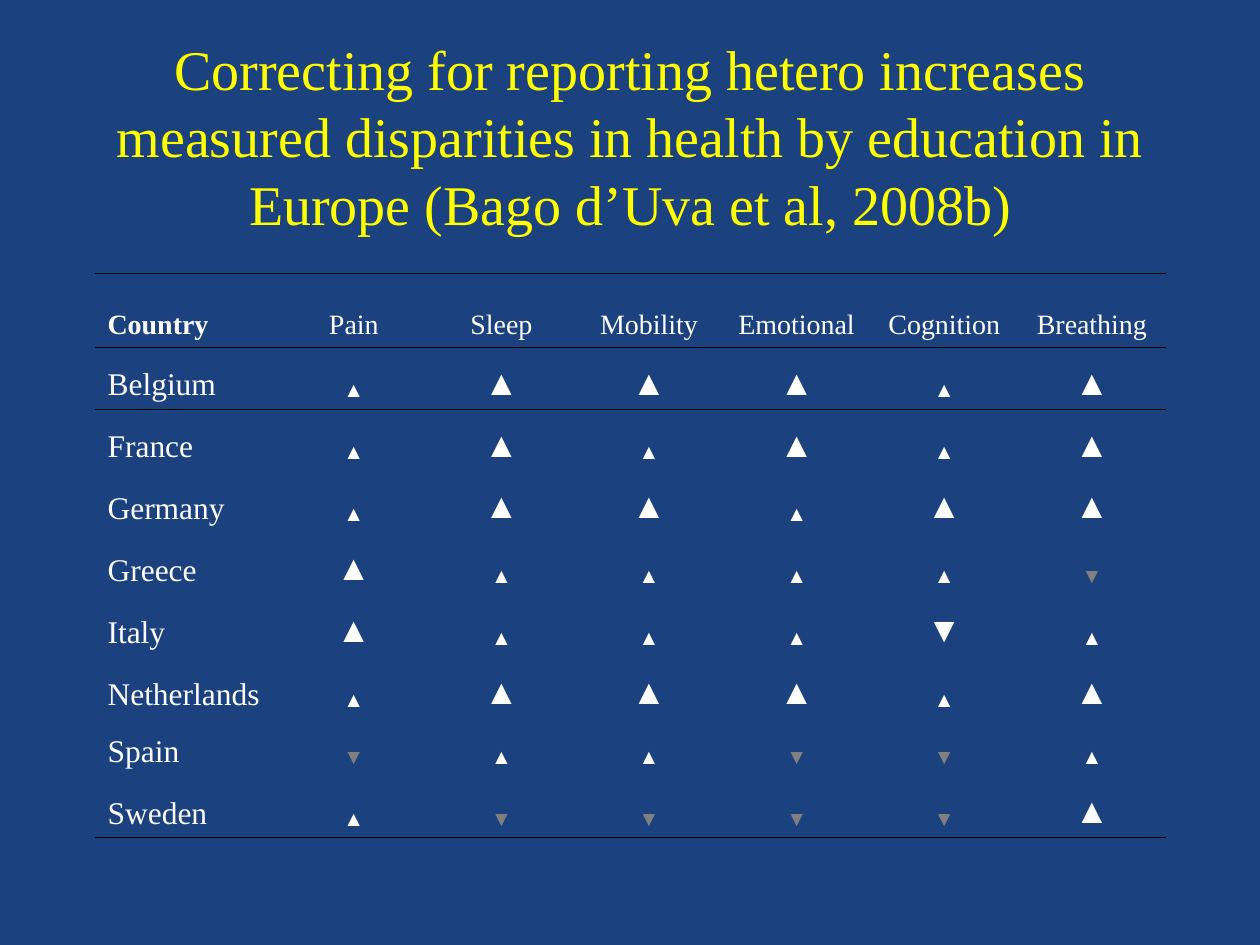
from lxml.etree import SubElement
from pptx import Presentation
from pptx.dml.color import RGBColor
from pptx.enum.text import MSO_ANCHOR, MSO_AUTO_SIZE, PP_ALIGN
from pptx.oxml import parse_xml
from pptx.oxml.ns import nsdecls, qn
from pptx.util import Pt

EMU_PER_PX = 914400 / 126
FONT = "Times New Roman"
COLORS = {
    "background": "1B417F",
    "title": "FFFF00",
    "text": "FFFFFF",
    "insignificant": "808080",
    "rule": "000000",
}
NO_STYLE = "{2D5ABB26-0587-4C30-8999-92F81FD0307C}"
TITLE = (
    "Correcting for reporting hetero increases measured disparities "
    "in health by education in Europe (Bago d’Uva et al, 2008b)"
)
DOMAINS = ["Pain", "Sleep", "Mobility", "Emotional", "Cognition", "Breathing"]
EFFECTS = {
    "Belgium": "uUUUuU",
    "France": "uUuUuU",
    "Germany": "uUUuUU",
    "Greece": "Uuuuud",
    "Italy": "UuuuDu",
    "Netherlands": "uUUUuU",
    "Spain": "duuddu",
    "Sweden": "uddddU",
}
MARKERS = {
    "U": ("▲", 20, "text"),
    "u": ("▲", 12, "text"),
    "D": ("▼", 20, "text"),
    "d": ("▼", 12, "insignificant"),
}
ROW_HEIGHTS = [74] + [62] * 6 + [57, 62]


def px(length):
    """Convert pixels to EMU."""
    return round(length * EMU_PER_PX)


def write_text(frame, text, size=18, color="text", bold=False, align=PP_ALIGN.CENTER):
    """Write one formatted paragraph into a text frame."""
    paragraph = frame.paragraphs[0]
    paragraph.alignment = align
    run = paragraph.add_run()
    run.text = text
    run.font.name = FONT
    run.font.size = Pt(size)
    run.font.bold = bold
    run.font.color.rgb = RGBColor.from_string(COLORS[color])


def add_rule(cell, side):
    """Draw a thin rule on the top (lnT) or bottom (lnB) of a cell."""
    properties = cell._tc.get_or_add_tcPr()
    line = parse_xml(f'<a:{side} {nsdecls("a")} w="{Pt(0.45)}"/>')
    fill = SubElement(line, qn("a:solidFill"))
    SubElement(fill, qn("a:srgbClr"), val=COLORS["rule"])
    properties.insert(0, line)


def add_title(slide, left, top, width, height):
    """Place and format the title placeholder."""
    title = slide.shapes.title
    title.left, title.top, title.width, title.height = map(px, (left, top, width, height))
    frame = title.text_frame
    frame.word_wrap = True
    frame.auto_size = MSO_AUTO_SIZE.NONE
    frame.vertical_anchor = MSO_ANCHOR.MIDDLE
    write_text(frame, TITLE, size=32, color="title")


def add_effects_table(slide, left, top, width, country_width):
    """Add the table of effects by country and health domain."""
    shape = slide.shapes.add_table(
        len(EFFECTS) + 1, len(DOMAINS) + 1,
        px(left), px(top), px(width), px(sum(ROW_HEIGHTS)),
    )
    table = shape.table
    table.first_row = table.horz_banding = False
    table._tbl.tblPr.find(qn("a:tableStyleId")).text = NO_STYLE
    for row, height in zip(table.rows, ROW_HEIGHTS):
        row.height = px(height)
    domain_width = (width - country_width) / len(DOMAINS)
    for index, column in enumerate(table.columns):
        column.width = px(domain_width if index else country_width)

    for cell in table.iter_cells():
        cell.fill.background()
        cell.vertical_anchor = MSO_ANCHOR.BOTTOM
    write_text(table.cell(0, 0).text_frame, "Country", size=16, bold=True, align=PP_ALIGN.LEFT)
    for column, domain in enumerate(DOMAINS, 1):
        write_text(table.cell(0, column).text_frame, domain, size=16)
    for row, (country, effects) in enumerate(EFFECTS.items(), 1):
        write_text(table.cell(row, 0).text_frame, country, align=PP_ALIGN.LEFT)
        for column, effect in enumerate(effects, 1):
            symbol, size, color = MARKERS[effect]
            write_text(table.cell(row, column).text_frame, symbol, size=size, color=color)

    for column in range(len(table.columns)):
        for row, side in ((0, "lnB"), (0, "lnT"), (1, "lnT"), (len(EFFECTS), "lnB")):
            add_rule(table.cell(row, column), side)


def main():
    """Build and save the presentation."""
    presentation = Presentation()
    presentation.slide_width, presentation.slide_height = px(1260), px(945)
    slide = presentation.slides.add_slide(presentation.slide_layouts[5])
    background = slide.background.fill
    background.solid()
    background.fore_color.rgb = RGBColor.from_string(COLORS["background"])
    add_title(slide, 95, 29, 1071, 213)
    add_effects_table(slide, 95, 273, 1071, 185)
    presentation.save("out.pptx")


if __name__ == "__main__":
    main()
